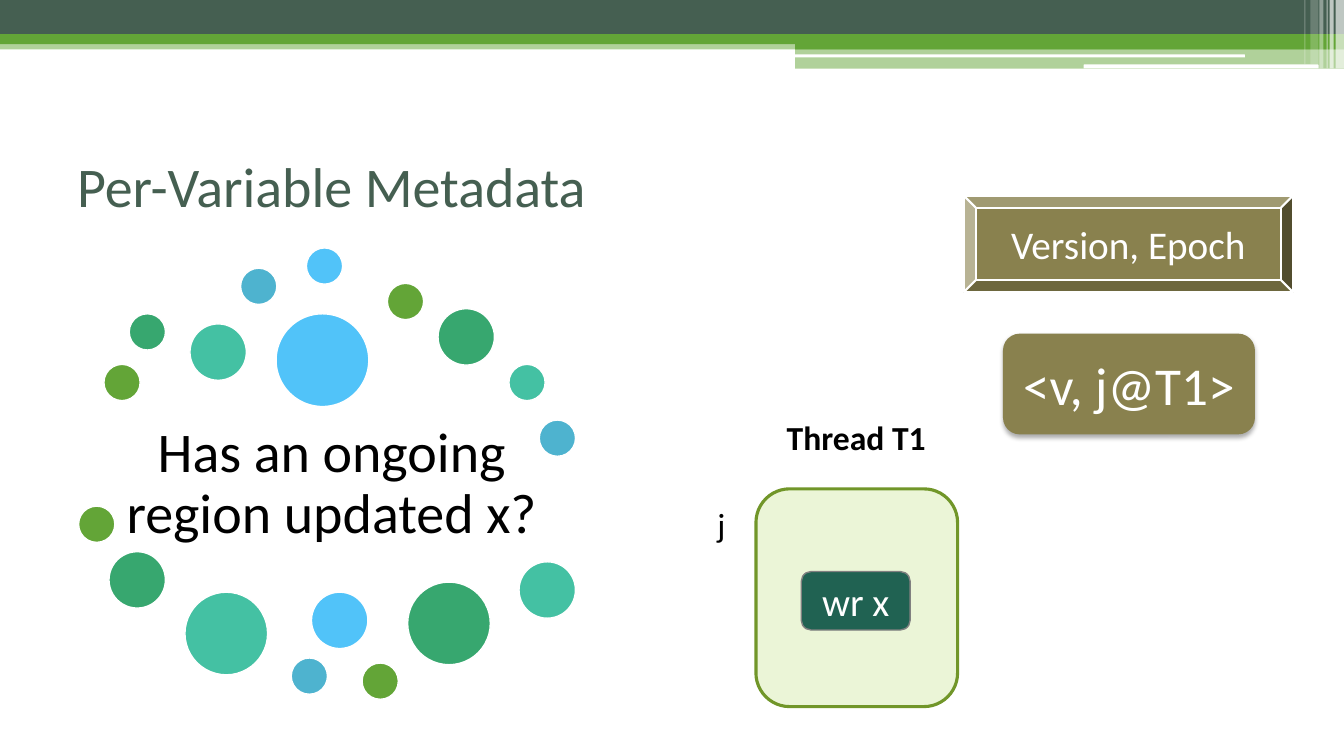
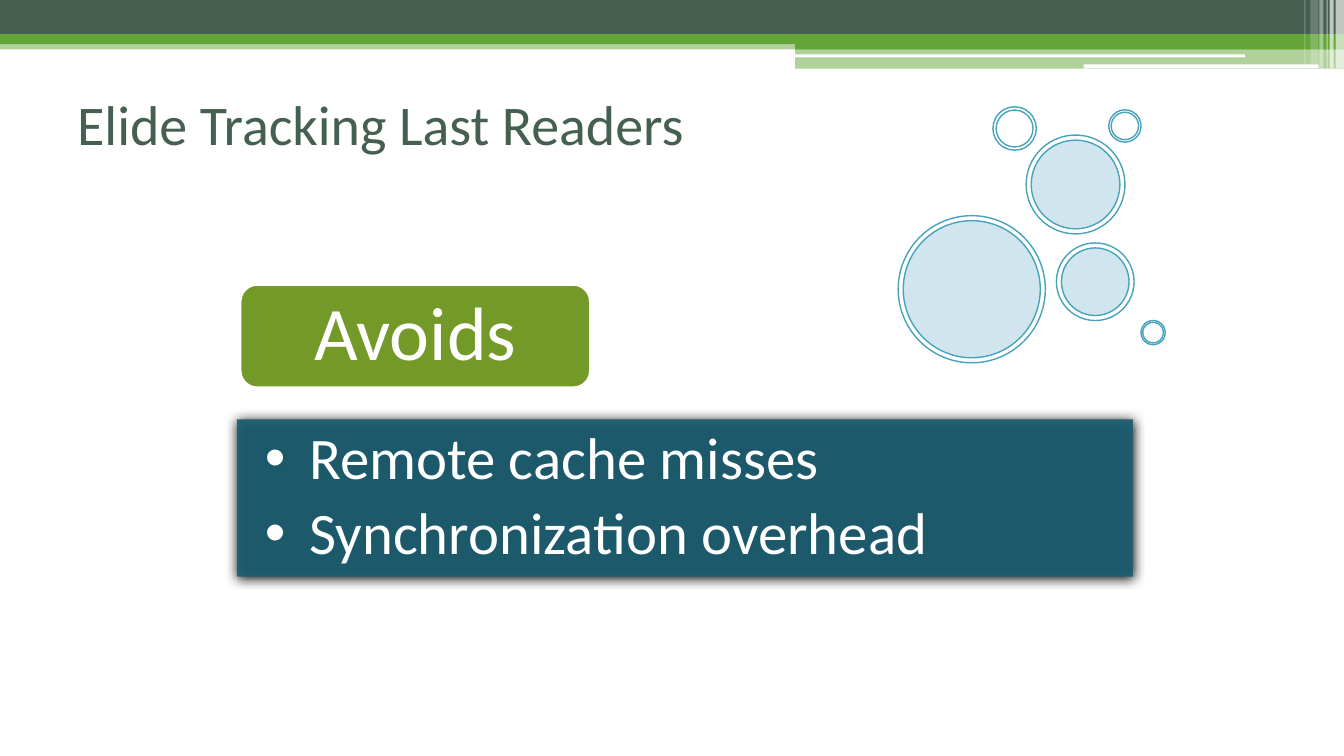
from itertools import cycle

from pptx import Presentation
from pptx.dml.color import RGBColor
from pptx.enum.shapes import MSO_SHAPE as Shape
from pptx.enum.text import MSO_ANCHOR as Anchor, PP_ALIGN as Align
from pptx.oxml.ns import qn
from pptx.oxml.xmlchemy import OxmlElement
from pptx.util import Inches, Pt

# ---- Look ----
WIDTH, HEIGHT = 13.333, 7.5
FONT = "Calibri"
COLORS = {
    "white": "FFFFFF", "black": "000000", "forest": "455F51", "green": "63A537",
    "emerald": "37A76F", "mint": "44C1A3", "teal": "4EB3CF", "sky": "51C3F9",
    "olive": "89814E", "pale": "EBF5D7", "moss": "719629", "pine": "206252",
    "gray": "808080", "leaf": "739A28", "petrol": "1E5E70", "rim": "47A2BC",
    "ice": "D0E5ED",
}

# ---- Content: boxes are left, top, width, height in percent of the slide ----
HEADER_BANDS = [  # box, colour, opacity
    ((0, 5.33, 100, 1.2), "green", 50),
    ((0, 0, 100, 4.53), "forest", 100),
    ((0, 4.53, 100, 1.33), "green", 100),
    ((59.17, 5.2, 40.83, 1.33), "green", 100),
    ((59.17, 6.4, 40.83, 2.67), "green", 50),
]
HEADER_SLITS = [(59.1, 7.2, 33.53, 0.4), (80.63, 8.53, 17.48, 0.53)]
HEADER_STRIPES = [  # left, width, height, opacity
    (99.38, 0.62, 9.07, 65), (98.93, 0.3, 9.07, 65), (98.7, 0.08, 9.07, 60),
    (98.18, 0.3, 9.07, 40), (97.5, 0.6, 8.53, 20), (97.05, 0.08, 8.53, 30),
]

METADATA_TITLE = ("Per-Variable Metadata", 16.67)
READERS_TITLE = ("Elide Tracking Last Readers", 8.53)

QUESTION = "Has an ongoing region updated x?"
DOT_COLORS = ["green", "emerald", "mint", "teal", "sky"]
DOT_SIZES = {"S": 0.36, "M": 0.56, "L": 0.82, "XL": 0.92}
DOT_ORIGIN = (0.78, 2.46)
DOT_STEP = 4.57 / 91
DOTS = [  # column, row, size
    (5, 23, "S"), (10, 13, "S"), (22, 15, "M"), (32, 4, "S"), (45, 0, "S"),
    (61, 7, "S"), (71, 12, "M"), (85, 23, "S"), (91, 34, "S"), (39, 13, "XL"),
    (0, 51, "S"), (6, 60, "M"), (21, 68, "L"), (42, 81, "S"), (46, 68, "M"),
    (56, 82, "S"), (65, 66, "L"), (87, 62, "M"),
]

AVOIDED = ["Remote cache misses", "Synchronization overhead"]
BUBBLES = [  # left, top, diameter as percent of the width
    (66.83, 28.53, 10.95), (78.6, 32.13, 5.78), (76.35, 17.87, 7.35),
]
BUBBLE_RIM = 0.05
RINGS = [(73.88, 14.13, 3.23), (82.5, 14.53, 2.4), (84.9, 42.4, 1.8)]


# ---- Helpers ----
def color(name):
    return RGBColor.from_string(COLORS[name])


def share(left, top, width, height):
    """Turn percent of the slide into inches."""
    return (left * WIDTH / 100, top * HEIGHT / 100,
            width * WIDTH / 100, height * HEIGHT / 100)


def circle_box(left, top, diameter):
    x, y, size, _ = share(left, top, diameter, 0)
    return x, y, size, size


def child(parent, tag, **attributes):
    node = OxmlElement(tag)
    for key, value in attributes.items():
        node.set(key, str(value))
    parent.append(node)
    return node


def add_figure(slide, kind, box, fill, line=None, opacity=100, adjust=None):
    figure = slide.shapes.add_shape(kind, *map(Inches, box))
    figure.shadow.inherit = False
    figure.fill.solid()
    figure.fill.fore_color.rgb = color(fill)
    if opacity < 100:
        tint = figure.element.spPr.find(qn("a:solidFill")).find(qn("a:srgbClr"))
        child(tint, "a:alpha", val=opacity * 1000)
    if line:
        figure.line.color.rgb = color(line[0])
        figure.line.width = Pt(line[1])
    else:
        figure.line.fill.background()
    if adjust is not None:
        figure.adjustments[0] = adjust
    return figure


def add_shadow(figure, opacity, blur, distance):
    effects = figure.element.spPr.find(qn("a:effectLst"))
    shadow = child(effects, "a:outerShdw", blurRad=Pt(blur), dist=Pt(distance),
                   dir=90 * 60000, algn="ctr", rotWithShape=0)
    tint = child(shadow, "a:srgbClr", val=COLORS["black"])
    child(tint, "a:alpha", val=opacity * 1000)


def write(holder, lines, size, ink="white", align=Align.CENTER,
          anchor=Anchor.MIDDLE, bold=False, spacing=None, after=None,
          insets=(0.1, 0.05, 0.1, 0.05), wrap=True, bullet_indent=None):
    frame = holder.text_frame
    frame.word_wrap = wrap
    frame.vertical_anchor = anchor
    (frame.margin_left, frame.margin_top,
     frame.margin_right, frame.margin_bottom) = map(Inches, insets)
    for index, line in enumerate(lines):
        paragraph = frame.add_paragraph() if index else frame.paragraphs[0]
        paragraph.alignment = align
        if spacing:
            paragraph.line_spacing = spacing
        if after:
            paragraph.space_after = Pt(after)
        if bullet_indent:
            properties = paragraph._p.get_or_add_pPr()
            properties.set("marL", str(Inches(bullet_indent)))
            properties.set("indent", str(-Inches(bullet_indent)))
            child(properties, "a:buFont", typeface="Arial")
            child(properties, "a:buChar", char="•")
        run = paragraph.add_run()
        run.text = line
        run.font.name = FONT
        run.font.size = Pt(size)
        run.font.bold = bold
        run.font.color.rgb = color(ink)


def add_label(slide, box, text, size, ink="black", **style):
    label = slide.shapes.add_textbox(*map(Inches, share(*box)))
    write(label, [text], size, ink, **style)


def add_slide(deck, title, title_top):
    """Blank slide with the shared header and title style."""
    slide = deck.slides.add_slide(deck.slide_layouts[6])
    for box, fill, opacity in HEADER_BANDS:
        add_figure(slide, Shape.RECTANGLE, share(*box), fill, opacity=opacity)
    for box in HEADER_SLITS:
        add_figure(slide, Shape.ROUNDED_RECTANGLE, share(*box), "white")
    for left, width, height, opacity in HEADER_STRIPES:
        add_figure(slide, Shape.RECTANGLE, share(left, 0, width, height),
                   "white", opacity=opacity)
    add_label(slide, (5, title_top, 90, 15.6), title, 40, "forest", align=Align.LEFT)
    return slide


deck = Presentation()
deck.slide_width, deck.slide_height = Inches(WIDTH), Inches(HEIGHT)

# ---- Slide 1: metadata ----
metadata = add_slide(deck, *METADATA_TITLE)

epoch = add_figure(metadata, Shape.ROUNDED_RECTANGLE,
                   share(74.63, 44.13, 18.75, 13.33), "olive")
add_shadow(epoch, 32, 3.5, 2.2)
write(epoch, ["<v, j@T1>"], 38)
version = add_figure(metadata, Shape.BEVEL, share(71.7, 25.87, 24.52, 12.8),
                     "olive", ("white", 1.5))
write(version, ["Version, Epoch"], 28)

# Question inside the cloud of dots
add_label(metadata, (7.8, 54.27, 33.75, 19.73), QUESTION, 40,
          spacing=0.9, insets=(0.06,) * 4)
for (column, row, size), fill in zip(DOTS, cycle(DOT_COLORS)):
    x, y = (start + DOT_STEP * n for start, n in zip(DOT_ORIGIN, (column, row)))
    diameter = DOT_SIZES[size]
    add_figure(metadata, Shape.OVAL, (x, y, diameter, diameter), fill, ("white", 1))

# Thread with its region and write
add_figure(metadata, Shape.ROUNDED_RECTANGLE, share(56.25, 64.67, 15, 28.8),
           "pale", ("moss", 2.25))
add_label(metadata, (54.9, 54.53, 17.62, 6.67), "Thread T1", 24,
          bold=True, anchor=Anchor.TOP)
add_label(metadata, (52.65, 66, 2.25, 6.93), "j", 24, align=Align.LEFT,
          anchor=Anchor.TOP, wrap=False)
write_x = add_figure(metadata, Shape.ROUNDED_RECTANGLE,
                     share(59.62, 75.6, 8.1, 7.73), "pine", ("gray", 1))
write(write_x, ["wr x"], 28)

# ---- Slide 2: last readers ----
readers = add_slide(deck, *READERS_TITLE)

avoids = add_figure(readers, Shape.ROUNDED_RECTANGLE,
                    share(17.85, 37.6, 26.1, 13.73), "leaf", ("white", 2.25))
write(avoids, ["Avoids"], 54, spacing=0.9)
costs = add_figure(readers, Shape.RECTANGLE, share(17.62, 55.47, 66.68, 20.8),
                   "petrol", opacity=94)
add_shadow(costs, 100, 8.5, 1)
write(costs, AVOIDED, 42, align=Align.LEFT, spacing=0.9, after=8,
      insets=(0.28, 0.06, 0.33, 0.06), bullet_indent=0.44)

# Bubbles
for bubble in BUBBLES:
    x, y, size, _ = circle_box(*bubble)
    for inset, fill in ((0, "white"), (BUBBLE_RIM, "ice")):
        inner = size - 2 * inset
        add_figure(readers, Shape.OVAL, (x + inset, y + inset, inner, inner),
                   fill, ("rim", 1))
for ring in RINGS:
    add_figure(readers, Shape.DONUT, circle_box(*ring), "white", ("rim", 1),
               adjust=0.075)

deck.save("out.pptx")
